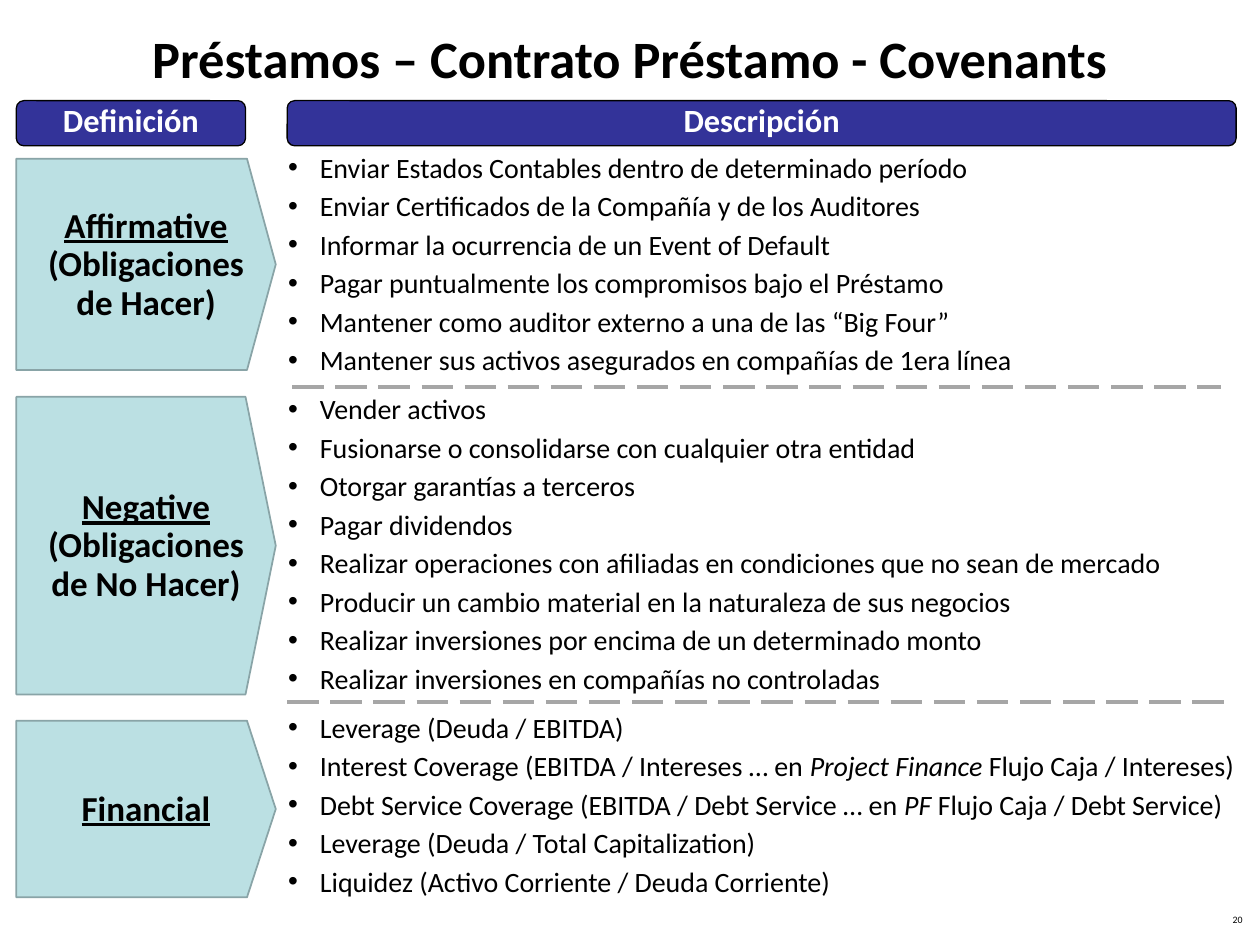
from dataclasses import dataclass

from lxml.etree import SubElement as Sub
from pptx import Presentation
from pptx.dml.color import RGBColor as RGB
from pptx.enum.dml import MSO_LINE_DASH_STYLE as Dash
from pptx.enum.shapes import MSO_CONNECTOR as Link, MSO_SHAPE as Shape
from pptx.enum.text import MSO_ANCHOR as Anchor, MSO_AUTO_SIZE as Fit, PP_ALIGN as Align
from pptx.oxml.ns import qn
from pptx.util import Cm, Pt


@dataclass(frozen=True)
class Theme:
    font: str = "Calibri"
    ink: str = "000000"
    white: str = "FFFFFF"
    navy: str = "333399"
    aqua: str = "BBE0E3"
    edge: str = "89A4A7"
    gray: str = "A6A6A6"
    title: float = 30
    head: float = 18.5
    label: float = 20
    body: float = 16
    page: float = 5.6


T = Theme()
LEFT = 0.33
TIP = 5.56

# Each group: top, height and shoulder of its arrow, label runs, list items.
# A run is (text, style), where the style holds "u" or "i".
GROUPS = [
    (3.2, 4.26, 4.98, [("Affirmative", "u"), (" (Obligaciones de Hacer)", "")], [
        "Enviar Estados Contables dentro de determinado período",
        "Enviar Certificados de la Compañía y de los Auditores",
        "Informar la ocurrencia de un Event of Default",
        "Pagar puntualmente los compromisos bajo el Préstamo",
        "Mantener como auditor externo a una de las “Big Four”",
        "Mantener sus activos asegurados en compañías de 1era línea",
    ]),
    (8, 6, 4.95, [("Negative", "u"), (" (Obligaciones de No Hacer)", "")], [
        "Vender activos",
        "Fusionarse o consolidarse con cualquier otra entidad",
        "Otorgar garantías a terceros",
        "Pagar dividendos",
        "Realizar operaciones con afiliadas en condiciones que no sean de mercado",
        "Producir un cambio material en la naturaleza de sus negocios",
        "Realizar inversiones por encima de un determinado monto",
        "Realizar inversiones en compañías no controladas",
    ]),
    (14.53, 3.56, 4.98, [("Financial", "u")], [
        "Leverage (Deuda / EBITDA)",
        [("Interest Coverage (EBITDA / Intereses … en ", ""),
         ("Project Finance", "i"), (" Flujo Caja / Intereses)", "")],
        [("Debt Service Coverage (EBITDA / Debt Service … en ", ""),
         ("PF", "i"), (" Flujo Caja / Debt Service)", "")],
        "Leverage (Deuda / Total Capitalization)",
        "Liquidez (Activo Corriente / Deuda Corriente)",
    ]),
]


def write(para, runs, size, color=T.ink, bold=False, align=None, space=None):
    """Fill a paragraph run by run; a plain string is one run."""
    para.alignment = align
    para.line_spacing = space
    for text, style in [(runs, "")] if isinstance(runs, str) else runs:
        run = para.add_run()
        run.text = text
        font = run.font
        font.name, font.size, font.bold = T.font, Pt(size), bold
        font.color.rgb = RGB.from_string(color)
        font.underline = "u" in style
        font.italic = "i" in style


def paint(shape, fill, line, width):
    shape.shadow.inherit = False
    shape.fill.solid()
    shape.fill.fore_color.rgb = RGB.from_string(fill)
    shape.line.color.rgb = RGB.from_string(line)
    shape.line.width = Pt(width)
    frame = shape.text_frame
    frame.word_wrap = True
    frame.vertical_anchor = Anchor.MIDDLE
    return frame.paragraphs[0]


def add_title(slide, text):
    title = slide.shapes.title
    title.left, title.top, title.width, title.height = Cm(0), Cm(0), Cm(25.4), Cm(2.31)
    frame = title.text_frame
    frame.auto_size = Fit.NONE
    frame.vertical_anchor = Anchor.MIDDLE
    write(frame.paragraphs[0], text, T.title, bold=True, align=Align.CENTER)


def add_head(slide, left, width, text):
    bar = slide.shapes.add_shape(Shape.ROUNDED_RECTANGLE, Cm(left), Cm(2.03), Cm(width), Cm(0.91))
    para = paint(bar, T.navy, T.ink, 0.75)
    write(para, text, T.head, T.white, True, Align.CENTER, 0.8)


def add_arrow(slide, top, height, neck, runs):
    """Draw a pentagon that points right, with its label."""
    low = top + height
    spots = [(neck, top), (TIP, top + height / 2), (neck, low), (LEFT, low)]
    path = slide.shapes.build_freeform(Cm(LEFT), Cm(top))
    path.add_line_segments([(Cm(x), Cm(y)) for x, y in spots], close=True)
    para = paint(path.convert_to_shape(), T.aqua, T.edge, 1)
    write(para, runs, T.label, bold=True, align=Align.CENTER, space=Pt(22))


def add_box(slide, left, top, width, height):
    box = slide.shapes.add_textbox(Cm(left), Cm(top), Cm(width), Cm(height))
    box.text_frame.word_wrap = True
    return box.text_frame


def add_bullet(para):
    props = para._p.get_or_add_pPr()
    props.set("marL", str(Cm(0.64)))
    props.set("indent", str(-Cm(0.64)))
    Sub(Sub(props, qn("a:buClr")), qn("a:srgbClr"), val=T.ink)
    Sub(props, qn("a:buFont"), typeface="Arial")
    Sub(props, qn("a:buChar"), char="•")


def add_list(slide, lists):
    """Put all lists in one box, with a wider gap before each new list."""
    frame = add_box(slide, 5.56, 3.02, 19.79, 15.09)
    para = frame.paragraphs[0]
    for part, items in enumerate(lists):
        for row, item in enumerate(items):
            if part or row:
                para = frame.add_paragraph()
            write(para, item, T.body, space=Pt(16))
            para.space_before = Pt(12 if part and not row else 6)
            add_bullet(para)


def add_rule(slide, left, right, y):
    rule = slide.shapes.add_connector(Link.STRAIGHT, Cm(left), Cm(y), Cm(right), Cm(y))
    rule.line.color.rgb = RGB.from_string(T.gray)
    rule.line.width = Pt(2.25)
    rule.line.dash_style = Dash.LONG_DASH
    Sub(rule._element.spPr, qn("a:effectLst"))


def main():
    deck = Presentation()
    deck.slide_width, deck.slide_height = Cm(25.4), Cm(19.05)
    slide = deck.slides.add_slide(deck.slide_layouts[5])
    page = add_box(slide, 19.38, 18.34, 5.92, 0.53)
    write(page.paragraphs[0], "20", T.page, align=Align.RIGHT, space=0.8)
    add_title(slide, "Préstamos – Contrato Préstamo - Covenants")
    add_head(slide, 5.79, 19.13, "Descripción")
    add_head(slide, LEFT, 4.62, "Definición")
    add_list(slide, [group[-1] for group in GROUPS])
    for group in GROUPS:
        add_arrow(slide, *group[:-1])
    add_rule(slide, 5.89, 24.61, 7.8)
    add_rule(slide, 5.79, 24.74, 14.15)
    deck.save("out.pptx")


if __name__ == "__main__":
    main()
